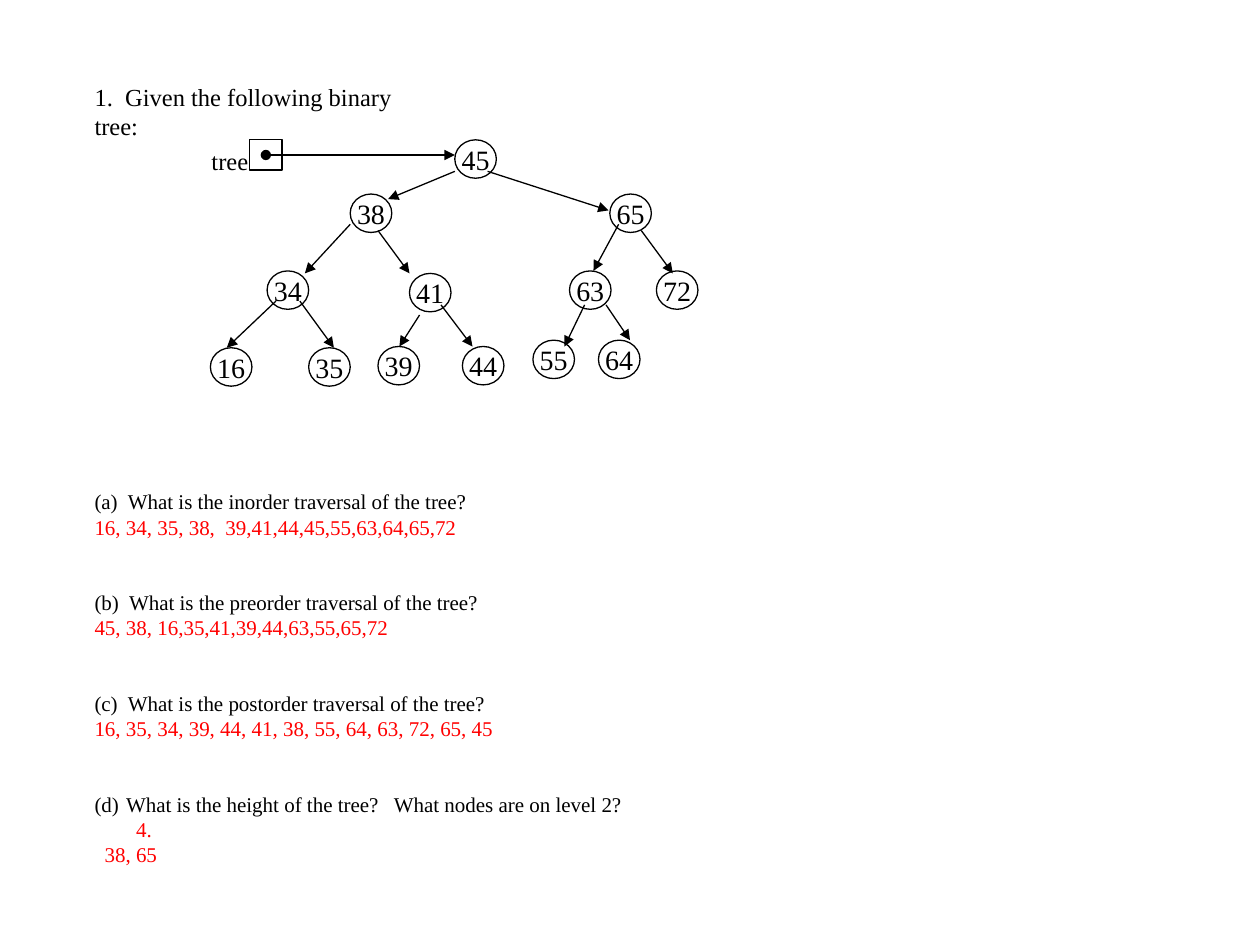
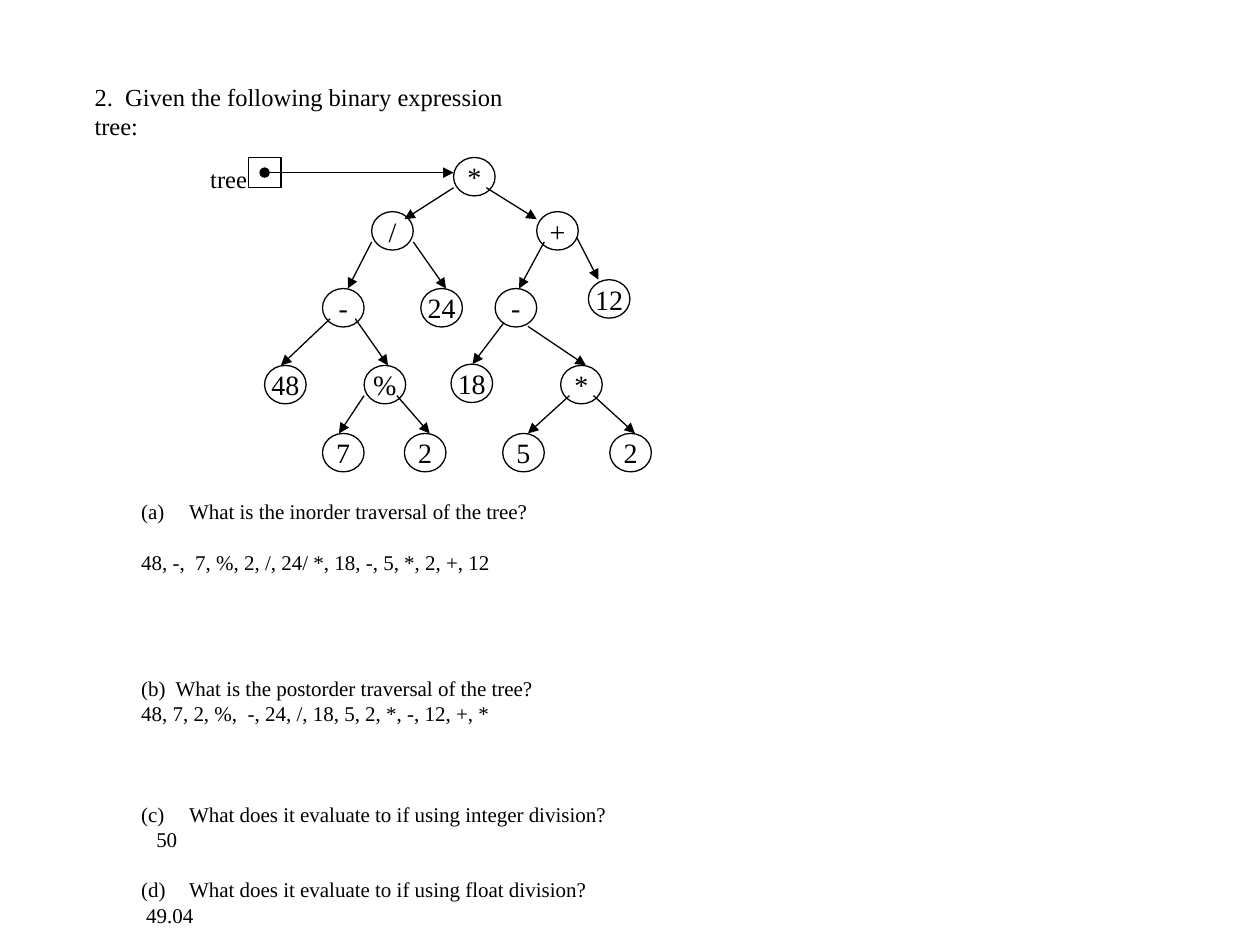
from pptx import Presentation
from pptx.dml.color import RGBColor
from pptx.enum.shapes import MSO_CONNECTOR, MSO_SHAPE
from pptx.enum.text import MSO_ANCHOR, MSO_AUTO_SIZE, PP_ALIGN
from pptx.oxml.ns import qn
from pptx.util import Inches, Pt
from lxml.etree import SubElement

FONT, INK, RED = "Times New Roman", "000000", "FF0000"
COLS, ROWS = 100, 75          # grid of the slide, ten cells to the inch
NODE = (3.3, 3.05)            # width and height of a tree node
LINE = 14.4                   # height of a line of body text, in points


def cell(n):
    return Inches(n / 10)


def paint(color, hue):
    color.rgb = RGBColor.from_string(hue)


def style(par, size, hue=INK):
    par.font.name, par.font.size = FONT, Pt(size)
    paint(par.font.color, hue)


def place(shape, left, top, width, height):
    shape.left, shape.top = cell(left), cell(top)
    shape.width, shape.height = cell(width), cell(height)


def setup(frame, wrap, anchor=MSO_ANCHOR.TOP):
    frame.auto_size = MSO_AUTO_SIZE.NONE
    frame.word_wrap, frame.vertical_anchor = wrap, anchor


# Headings and questions

def head(slide, text, width):
    title = slide.shapes.title
    place(title, 6.5, 6, width, 6)
    setup(title.text_frame, True)
    title.text_frame.text = text
    par = title.text_frame.paragraphs[0]
    par.alignment = PP_ALIGN.LEFT
    style(par, 14)


def bullet(par, start, left, hang):
    props = par._p.get_or_add_pPr()
    props.set("marL", str(Inches(left)))
    props.set("indent", str(Inches(-hang)))
    if start:
        SubElement(props, qn("a:buAutoNum"), type="alphaLcParenBoth",
                   startAt=str(start))
    else:
        SubElement(props, qn("a:buNone"))


def body(slide, box, lines):
    """Each line: text, blank lines above, number, indent, colour."""
    shape = slide.placeholders[1]
    place(shape, *box)
    frame = shape.text_frame
    setup(frame, True)
    for i, (text, gap, start, left, hue) in enumerate(lines):
        par = frame.add_paragraph() if i else frame.paragraphs[0]
        par.text = text
        par.space_before = Pt(gap * LINE)
        style(par, 12, hue)
        bullet(par, start, left, left if start else 0)


def ask(text, gap=0, start=0, left=0):
    return text, gap, start, left, INK


def reply(text, left=0, hue=RED, gap=0):
    return text, gap, 0, left, hue


# Tree parts

def outline(shapes, kind, left, top, width, height):
    shape = shapes.add_shape(kind, cell(left), cell(top), cell(width), cell(height))
    shape.shadow.inherit = False
    shape.fill.background()
    paint(shape.line.color, INK)
    shape.line.width = Pt(0.75)
    return shape


def node(shapes, text, left, top):
    frame = outline(shapes, MSO_SHAPE.OVAL, left, top, *NODE).text_frame
    setup(frame, False, MSO_ANCHOR.MIDDLE)
    frame.text = text
    frame.paragraphs[0].alignment = PP_ALIGN.CENTER
    style(frame.paragraphs[0], 16)


def arrow(shapes, ends, dot=False):
    link = shapes.add_connector(MSO_CONNECTOR.STRAIGHT, *map(cell, ends))
    paint(link.line.color, INK)
    link.line.width = Pt(0.75)
    SubElement(link._element.spPr, qn("a:effectLst"))
    ln = link.line._get_or_add_ln()
    if dot:
        SubElement(ln, qn("a:headEnd"), type="oval")
    SubElement(ln, qn("a:tailEnd"), type="triangle")


def pointer(shapes, left, top):
    """Box named tree, pointing at the root node."""
    outline(shapes, MSO_SHAPE.RECTANGLE, left - 16.3, top, 2.6, 2.4)
    frame = shapes.add_textbox(cell(left - 20.3), cell(top),
                               cell(4.9), cell(3.3)).text_frame
    setup(frame, False)
    frame.text = "tree"
    style(frame.paragraphs[0], 14)
    arrow(shapes, (left - 15, top + 1.2, left, top + 1.2), dot=True)


def tree(slide, root, kids):
    shapes = slide.shapes.add_group_shape().shapes
    node(shapes, *root)
    pointer(shapes, *root[1:])
    for text, left, top, ends in kids:
        node(shapes, text, left, top)
        arrow(shapes, ends)


# Content: label, column, row, arrow from the parent

SEARCH = [
    ("38", 27.8, 15.4, (36.1, 13.6, 30.8, 15.8)),
    ("65", 48.4, 15.4, (38.7, 13.6, 48.3, 16.7)),
    ("34", 21.2, 21.5, (27.8, 17.8, 24.2, 21.7)),
    ("41", 32.5, 21.7, (30, 18.3, 32.5, 21.7)),
    ("63", 45.2, 21.5, (49.1, 17.8, 47.1, 21.5)),
    ("72", 52.1, 21.5, (50.9, 18.3, 53.4, 21.7)),
    ("16", 16.7, 27.6, (21.9, 23.9, 18, 27.6)),
    ("35", 24.5, 27.6, (23.8, 23.9, 26.5, 27.6)),
    ("39", 30, 27.5, (33.3, 25, 31.7, 27.5)),
    ("44", 36.7, 27.5, (35, 24.2, 37.5, 27.5)),
    ("55", 42.3, 27, (46.4, 24.2, 44.8, 27.5)),
    ("64", 47.5, 27, (48.1, 24.2, 50, 27)),
]
MATH = [
    ("/", 29.5, 16.8, (36, 14.9, 32.1, 17.4)),
    ("+", 42.6, 16.8, (38.6, 14.9, 42.6, 17.4)),
    ("-", 25.6, 22.9, (29.5, 19.2, 27.6, 22.9)),
    ("24", 33.4, 22.9, (32.8, 19.2, 35.4, 22.9)),
    ("-", 39.3, 22.9, (43.2, 19.2, 41.2, 22.9)),
    ("12", 46.7, 22.2, (45.8, 18.9, 47.5, 22.2)),
    ("48", 21, 29, (26.2, 25.3, 22.3, 29)),
    ("%", 28.9, 29, (28.2, 25.3, 30.8, 29)),
    ("18", 35.8, 28.9, (40, 25.6, 37.5, 28.9)),
    ("*", 44.5, 29, (41.9, 25.9, 46.5, 29)),
    ("7", 25.6, 34.4, (28.9, 31.4, 26.9, 34.4)),
    ("2", 32.1, 34.4, (31.5, 31.4, 34.1, 34.4)),
    ("5", 39.9, 34.4, (45.2, 31.4, 41.9, 34.4)),
    ("2", 48.4, 34.4, (47.1, 31.4, 50.4, 34.4)),
]
WALKS = [
    ask("(a)  What is the inorder traversal of the tree?"),
    reply("16, 34, 35, 38,  39,41,44,45,55,63,64,65,72"),
    ask("(b)  What is the preorder traversal of the tree?", 2),
    reply("45, 38, 16,35,41,39,44,63,55,65,72"),
    ask("(c)  What is the postorder traversal of the tree?", 2),
    reply("16, 35, 34, 39, 44, 41, 38, 55, 64, 63, 72, 65, 45"),
    ask("What is the height of the tree?   What nodes are on level 2?", 2, 4, 0.25),
    reply("4.", 0.33),
    reply("38, 65", 0.08),
]
VALUES = [
    ask("What is the inorder traversal of the tree?", 0, 1, 0.38),
    reply("48, -,  7, %, 2, /, 24/ *, 18, -, 5, *, 2, +, 12", 0, INK, 1),
    ask("(b)  What is the postorder traversal of the tree?", 4),
    reply("48, 7, 2, %,  -, 24, /, 18, 5, 2, *, -, 12, +, *", 0, INK),
    ask("What does it evaluate to if using integer division?", 3, 3, 0.38),
    reply("50", 0.12, INK),
    ask("What does it evaluate to if using float division?", 1, 4, 0.38),
    reply("49.04", 0.04, INK),
]


def main():
    deck = Presentation()
    deck.slide_width, deck.slide_height = cell(COLS), cell(ROWS)
    pages = [
        ("1.  Given the following binary tree:", 29,
         (6.5, 38.3, 44.5, 33.3), WALKS, ("45", 36.1, 11.1), SEARCH),
        ("2.  Given the following binary expression tree:", 38,
         (10.2, 39.1, 39.4, 35.4), VALUES, ("*", 36, 12.5), MATH),
    ]
    for title, width, box, lines, root, kids in pages:
        slide = deck.slides.add_slide(deck.slide_layouts[1])
        head(slide, title, width)
        body(slide, box, lines)
        tree(slide, root, kids)
    deck.save("out.pptx")


if __name__ == "__main__":
    main()
